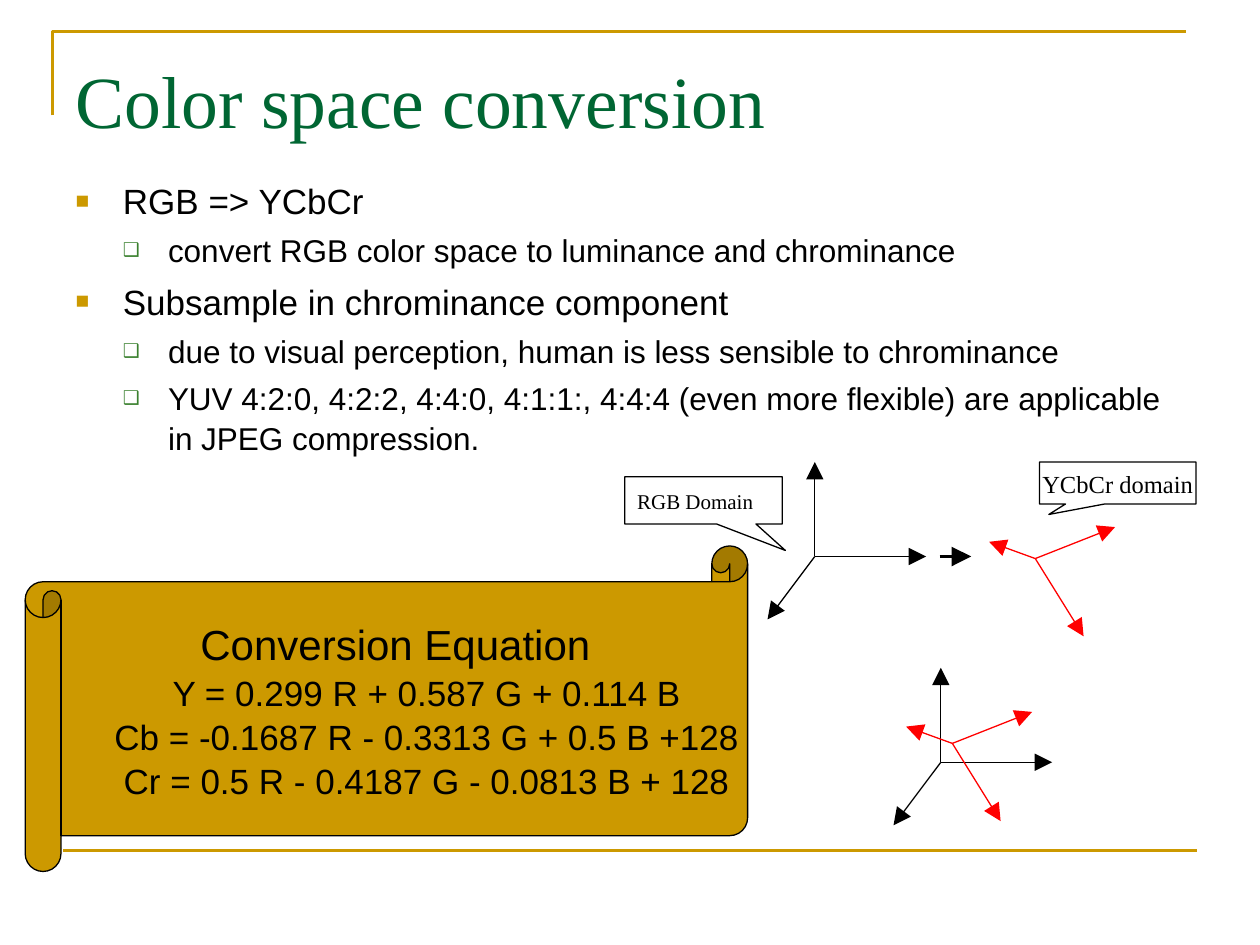
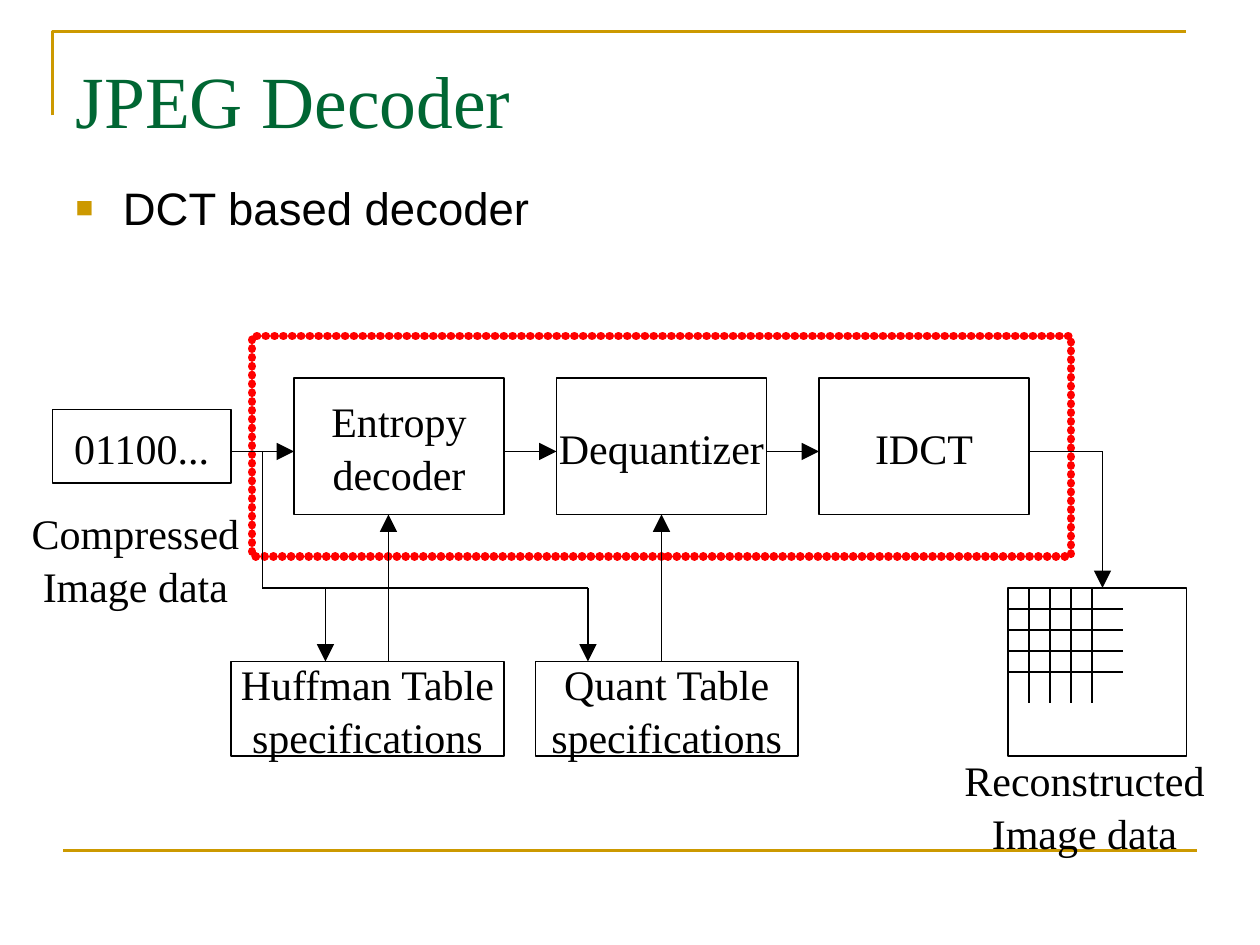
from dataclasses import dataclass

from lxml import etree
from pptx import Presentation
from pptx.dml.color import RGBColor
from pptx.enum.shapes import MSO_CONNECTOR, MSO_SHAPE
from pptx.enum.text import MSO_ANCHOR, MSO_AUTO_SIZE, PP_ALIGN
from pptx.oxml.ns import qn
from pptx.util import Pt

RECTANGLE = MSO_SHAPE.RECTANGLE
CALLOUT = MSO_SHAPE.RECTANGULAR_CALLOUT
SCROLL = MSO_SHAPE.HORIZONTAL_SCROLL
STRAIGHT = MSO_CONNECTOR.STRAIGHT
LEFT, CENTER = PP_ALIGN.LEFT, PP_ALIGN.CENTER
TOP, MIDDLE = MSO_ANCHOR.TOP, MSO_ANCHOR.MIDDLE
NO_FIT = MSO_AUTO_SIZE.NONE
EMU_PER_PX = 7620


@dataclass(frozen=True)
class Theme:
    gold: str = "CC9900"
    green: str = "006633"
    bullet_green: str = "3B812F"
    black: str = "000000"
    white: str = "FFFFFF"
    red: str = "FF0000"
    serif: str = "Times New Roman"
    sans: str = "Arial"
    title_size: int = 42
    diagram_size: int = 24
    equation_size: int = 20
    callout_size: int = 14
    small_callout_size: int = 12
    thin: float = 0.75
    rule: float = 1.5
    thick: float = 2.25
    dotted: float = 5
    line_spacing: float = 1.05


THEME = Theme()


def px(length):
    return round(length * EMU_PER_PX)


def color(value):
    return RGBColor.from_string(value)


def add_xml(parent, tag, **attributes):
    names = {name: str(value) for name, value in attributes.items()}
    return etree.SubElement(parent, qn(tag), names)


def format_paragraph(paragraph, size, font, ink, align=LEFT, space_before=0):
    paragraph.alignment = align
    paragraph.space_before = Pt(space_before)
    paragraph.line_spacing = THEME.line_spacing
    for run in paragraph.runs:
        run.font.size = Pt(size)
        run.font.name = font
        run.font.color.rgb = color(ink)


def write(shape, text, size, font=THEME.serif, align=CENTER, anchor=MIDDLE):
    frame = shape.text_frame
    frame.word_wrap = False
    frame.auto_size = NO_FIT
    frame.vertical_anchor = anchor
    frame.text = text
    for paragraph in frame.paragraphs:
        format_paragraph(paragraph, size, font, THEME.black, align)


@dataclass(frozen=True)
class Region:
    slide: object
    left: int
    top: int

    def place(self, box):
        left, top, width, height = box
        return px(self.left + left), px(self.top + top), px(width), px(height)

    def shape(self, kind, box, fill=THEME.white, line=THEME.black, width=THEME.thin):
        shape = self.slide.shapes.add_shape(kind, *self.place(box))
        shape.shadow.inherit = False
        shape.fill.solid()
        shape.fill.fore_color.rgb = color(fill)
        shape.line.color.rgb = color(line)
        shape.line.width = Pt(width)
        return shape

    def block(self, text, box):
        write(self.shape(RECTANGLE, box), text, THEME.diagram_size)

    def label(self, text, box):
        shape = self.slide.shapes.add_textbox(*self.place(box))
        write(shape, text, THEME.diagram_size, anchor=TOP)

    def line(self, start, end, ink=THEME.black, width=THEME.thin, arrow=False):
        points = [px(value) for x, y in (start, end)
                  for value in (self.left + x, self.top + y)]
        connector = self.slide.shapes.add_connector(STRAIGHT, *points)
        connector.line.color.rgb = color(ink)
        connector.line.width = Pt(width)
        properties = connector.element.spPr
        if arrow:
            add_xml(properties.find(qn("a:ln")), "a:tailEnd",
                    type="triangle", w="lg", len="lg")
        add_xml(properties, "a:effectLst")
        return connector


def add_frame_to_layout(slide):
    region = Region(slide, 50, 30)
    builder = slide.shapes.build_freeform(px(50), px(110), scale=1.0)
    builder.add_line_segments([(px(50), px(30)), (px(1130), px(30))], close=False)
    corner = builder.convert_to_shape()
    corner.shadow.inherit = False
    corner.fill.background()
    corner.line.color.rgb = color(THEME.gold)
    corner.line.width = Pt(THEME.rule)
    footer_rule = region.line((10, 780), (1090, 780), THEME.gold, THEME.rule)
    for number, part in enumerate((corner, footer_rule), 101):
        part.element.xpath(".//p:cNvPr")[0].set("id", str(number))
        slide.slide_layout.shapes.element.append(part.element)


def position_placeholder(placeholder, box, margin_top):
    placeholder.left, placeholder.top, placeholder.width, placeholder.height = map(px, box)
    frame = placeholder.text_frame
    frame.auto_size = NO_FIT
    frame.vertical_anchor = TOP
    frame.margin_top = px(margin_top)
    return frame


def add_title(slide, text):
    frame = position_placeholder(slide.shapes.title, (60, 36, 1080, 150), 12)
    frame.text = text
    format_paragraph(frame.paragraphs[0], THEME.title_size, THEME.serif, THEME.green)


def add_bullets(slide, items, box, sizes):
    bullets = (("■", THEME.gold, 65, 45, 45), ("❑", THEME.bullet_green, 60, 88, 43))
    frame = position_placeholder(slide.placeholders[1], box, 9)
    frame.text = "\n".join(text for level, text in items)
    for index, (level, text) in enumerate(items):
        paragraph = frame.paragraphs[index]
        paragraph.level = level
        symbol, ink, percent, margin, hanging = bullets[level]
        properties = paragraph._p.get_or_add_pPr()
        properties.set("marL", str(px(margin)))
        properties.set("indent", str(-px(hanging)))
        add_xml(add_xml(properties, "a:buClr"), "a:srgbClr", val=ink)
        add_xml(properties, "a:buSzPct", val=percent * 1000)
        add_xml(properties, "a:buChar", char=symbol)
        space_before = sizes[level] / 4 if index else 0
        format_paragraph(paragraph, sizes[level], THEME.sans, THEME.black,
                         space_before=space_before)


def add_equation_scroll(slide, left, top):
    scroll = Region(slide, left, top).shape(SCROLL, (0, 0, 688, 310), THEME.gold)
    scroll.adjustments[0] = 0.11
    write(scroll, "Conversion Equation\n"
                  "Y = 0.299 R + 0.587 G + 0.114 B\n"
                  "Cb = -0.1687 R - 0.3313 G + 0.5 B +128\n"
                  "Cr = 0.5 R - 0.4187 G - 0.0813 B + 128",
          THEME.equation_size, THEME.sans)
    heading, *equations = scroll.text_frame.paragraphs
    heading.runs[0].font.size = Pt(THEME.diagram_size)
    for equation in equations:
        equation.level = 1
        equation._p.get_or_add_pPr().set("marL", str(px(60)))


def add_axes(slide, origin, tips, ink):
    region = Region(slide, *origin)
    for tip in tips:
        region.line((0, 0), tip, ink, arrow=True)


def add_callout(region, text, box, tip, size, align):
    callout = region.shape(CALLOUT, box)
    callout.adjustments[0], callout.adjustments[1] = tip
    write(callout, text, size, align=align)


def add_color_spaces(slide, left, top):
    region = Region(slide, left, top)
    rgb_tips = ((106, 0), (0, -90), (-45, 60))
    ycbcr_tips = ((76, -30), (46, 74), (-44, -16))
    for x, y in ((181, 90), (301, 286)):
        add_axes(slide, (left + x, top + y), rgb_tips, THEME.black)
    for x, y in ((391, 92), (312, 268)):
        add_axes(slide, (left + x, top + y), ycbcr_tips, THEME.red)
    region.line((300, 90), (330, 90), width=THEME.thick, arrow=True)
    add_callout(region, "RGB Domain", (0, 14, 150, 45), (0.52, 1.06),
                THEME.small_callout_size, LEFT)
    add_callout(region, "YCbCr domain", (395, 0, 149, 40), (-0.44, 0.75),
                THEME.callout_size, CENTER)


def add_dotted_frame(region, box):
    frame = region.shape(RECTANGLE, box, line=THEME.red, width=THEME.dotted)
    outline = frame.element.spPr.find(qn("a:ln"))
    outline.set("cap", "rnd")
    add_xml(add_xml(outline, "a:custDash"), "a:ds", d=100000, sp=1000)


def add_pixel_grid(slide, left, top):
    region = Region(slide, left, top)
    region.shape(RECTANGLE, (0, 0, 170, 160))
    for offset in range(20, 100, 20):
        region.line((0, offset), (110, offset))
        region.line((offset, 0), (offset, 110))


def add_decoder_diagram(slide, left, top):
    region = Region(slide, left, top)
    add_dotted_frame(region, (190, 0, 780, 210))
    region.block("01100...", (0, 70, 170, 70))
    for index, stage in enumerate(("Entropy\ndecoder", "Dequantizer", "IDCT")):
        region.block(stage, (230 + 250 * index, 40, 200, 130))
    region.block("Huffman Table\nspecifications", (170, 310, 260, 90))
    region.block("Quant Table\nspecifications", (460, 310, 250, 90))
    arrows = (
        ((170, 110), (230, 110)),
        ((430, 110), (480, 110)),
        ((680, 110), (730, 110)),
        ((320, 310), (320, 170)),
        ((580, 310), (580, 170)),
        ((260, 240), (260, 310)),
        ((510, 240), (510, 310)),
        ((1000, 110), (1000, 240)),
    )
    for start, end in arrows:
        region.line(start, end, arrow=True)
    for start, end in (((200, 110), (200, 240)), ((200, 240), (510, 240)),
                       ((930, 110), (1000, 110))):
        region.line(start, end)
    add_pixel_grid(slide, left + 910, top + 240)
    region.label("Compressed\nImage data", (-32, 155, 222, 108))
    region.label("Reconstructed\nImage data", (857, 390, 252, 108))


def build_conversion_slide(slide):
    add_equation_scroll(slide, 24, 520)
    add_title(slide, "Color space conversion")
    add_bullets(slide, (
        (0, "RGB => YCbCr"),
        (1, "convert RGB color space to luminance and chrominance"),
        (0, "Subsample in chrominance component"),
        (1, "due to visual perception, human is less sensible to chrominance"),
        (1, "YUV 4:2:0, 4:2:2, 4:4:0, 4:1:1:, 4:4:4 (even more flexible) "
            "are applicable in JPEG compression."),
    ), (60, 160, 1069, 271), (20, 18))
    add_color_spaces(slide, 595, 440)


def build_decoder_slide(slide):
    add_title(slide, "JPEG Decoder")
    add_bullets(slide, ((0, "DCT based decoder"),), (60, 160, 1080, 90), (26,))
    add_decoder_diagram(slide, 50, 320)


def main():
    presentation = Presentation()
    presentation.slide_width = px(1200)
    presentation.slide_height = px(900)
    layout = presentation.slide_layouts[1]
    conversion_slide = presentation.slides.add_slide(layout)
    add_frame_to_layout(conversion_slide)
    build_conversion_slide(conversion_slide)
    build_decoder_slide(presentation.slides.add_slide(layout))
    presentation.save("out.pptx")


if __name__ == "__main__":
    main()
